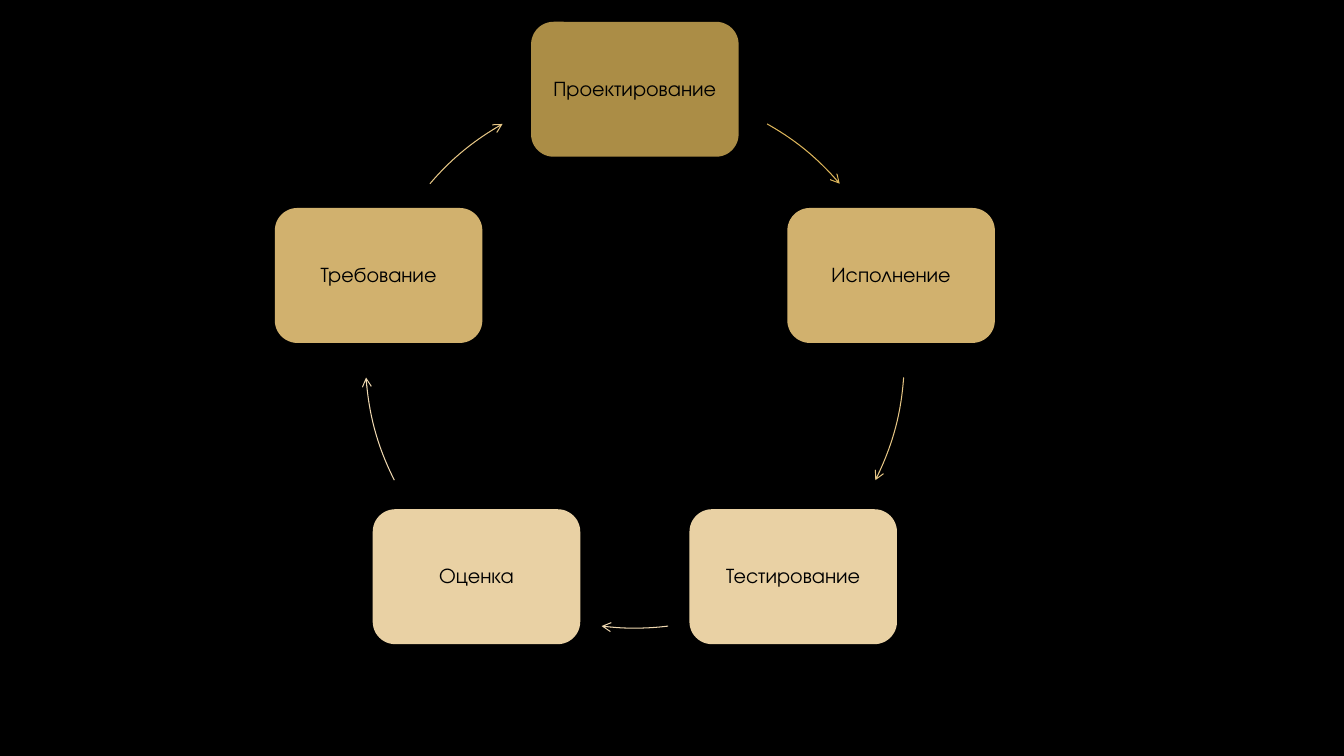
import math
import pptx
import pptx.util
import pptx.dml.color
import pptx.enum.shapes
import pptx.enum.text
import pptx.oxml

Cm, Pt = pptx.util.Cm, pptx.util.Pt
KINDS = pptx.enum.shapes.MSO_SHAPE

HUES = {
    "night": "000000",
    "deep": "AB8D46",
    "gold": "D1B16E",
    "sand": "E9D1A4",
    "amber": "DDB65B",
    "honey": "E6C685",
    "cream": "EFD8B0",
}
STEPS = [
    ("Проектирование", "deep"),
    ("Исполнение", "gold"),
    ("Тестирование", "sand"),
    ("Оценка", "sand"),
    ("Требование", "gold"),
]
ARROWS = [
    (299.4, 319.5, "amber"),
    (4, 26.8, "honey"),
    (82.9, 97.1, "cream"),
    (153.2, 176, "cream"),
    (220.5, 240.6, "honey"),
]
MID_X, MID_Y, RADIUS = 16, 9.04, 6.79
BOX_W, BOX_H = 5.23, 3.4


def tint(name):
    return pptx.dml.color.RGBColor.from_string(HUES[name])


def write(shape, text, size=15, font="TeX Gyre Adventor", hue="night", inset=0.15):
    frame = shape.text_frame
    frame.word_wrap = True
    frame.vertical_anchor = pptx.enum.text.MSO_ANCHOR.MIDDLE
    frame.margin_left = frame.margin_right = Cm(inset)
    frame.margin_top = frame.margin_bottom = Cm(inset)
    line = frame.paragraphs[0]
    line.alignment = pptx.enum.text.PP_ALIGN.CENTER
    line.line_spacing = 0.9
    line.space_after = Pt(size * 0.35)
    run = line.add_run()
    run.text = text
    run.font.size = Pt(size)
    run.font.name = font
    run.font.color.rgb = tint(hue)


def add_step(slide, turn, text, hue):
    angle = math.radians(turn)
    left = MID_X + RADIUS * math.cos(angle) - BOX_W / 2
    top = MID_Y + RADIUS * math.sin(angle) - BOX_H / 2
    box = slide.shapes.add_shape(
        KINDS.ROUNDED_RECTANGLE, Cm(left), Cm(top), Cm(BOX_W), Cm(BOX_H))
    box.shadow.inherit = False
    box.fill.solid()
    box.fill.fore_color.rgb = tint(hue)
    box.line.fill.background()
    write(box, text)


def add_arrow(slide, start, end, hue):
    arc = slide.shapes.add_shape(
        KINDS.ARC, Cm(MID_X - RADIUS), Cm(MID_Y - RADIUS),
        Cm(2 * RADIUS), Cm(2 * RADIUS))
    arc.shadow.inherit = False
    arc.adjustments[0] = start * 0.6
    arc.adjustments[1] = end * 0.6
    arc.fill.background()
    arc.line.color.rgb = tint(hue)
    arc.line.width = Pt(0.75)
    head = pptx.oxml.parse_xml(
        '<a:tailEnd xmlns:a="http://schemas.openxmlformats.org/drawingml/2006/main"'
        ' type="arrow"/>')
    arc.line._get_or_add_ln().append(head)


def main():
    deck = pptx.Presentation()
    deck.slide_width, deck.slide_height = Cm(33.87), Cm(19.05)
    slide = deck.slides.add_slide(deck.slide_layouts[6])
    slide.background.fill.solid()
    slide.background.fill.fore_color.rgb = tint("night")
    for place, (step, arrow) in enumerate(zip(STEPS, ARROWS)):
        add_step(slide, 270 + place * 360 / len(STEPS), *step)
        add_arrow(slide, *arrow)
    deck.save("out.pptx")


if __name__ == "__main__":
    main()
